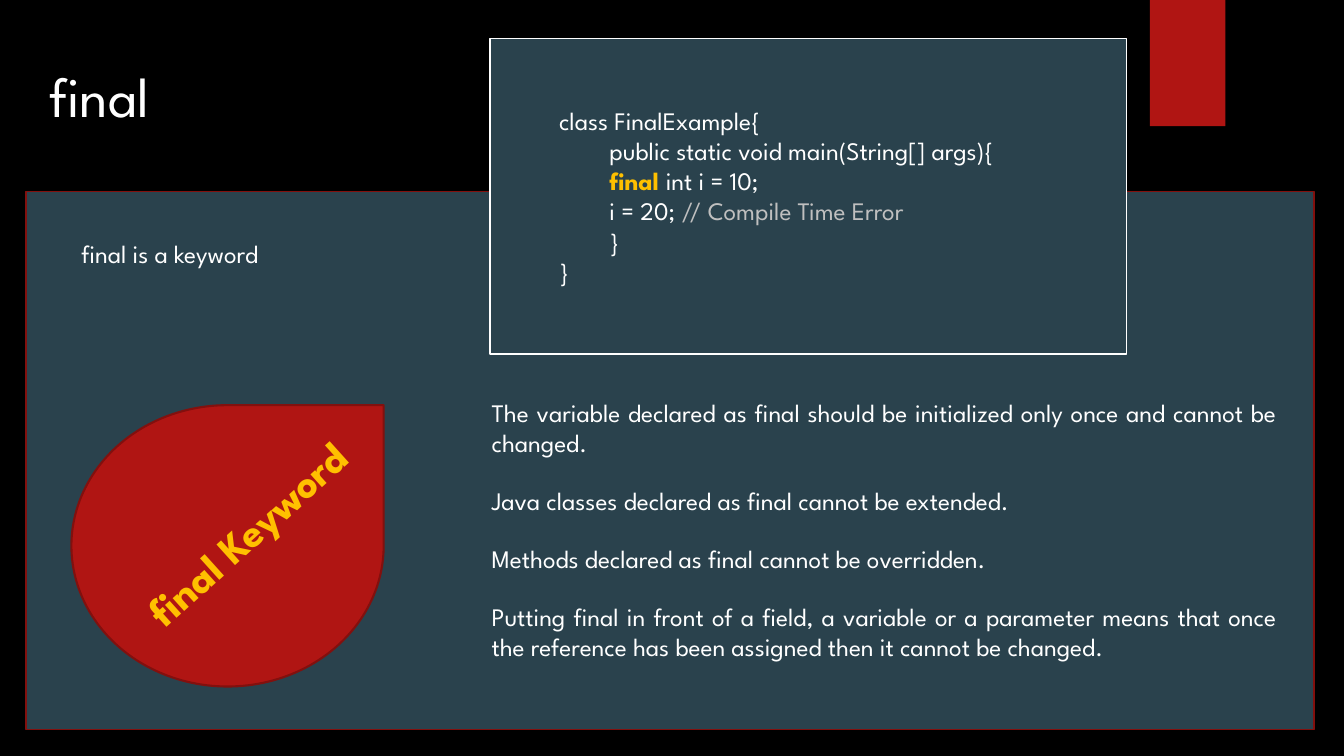
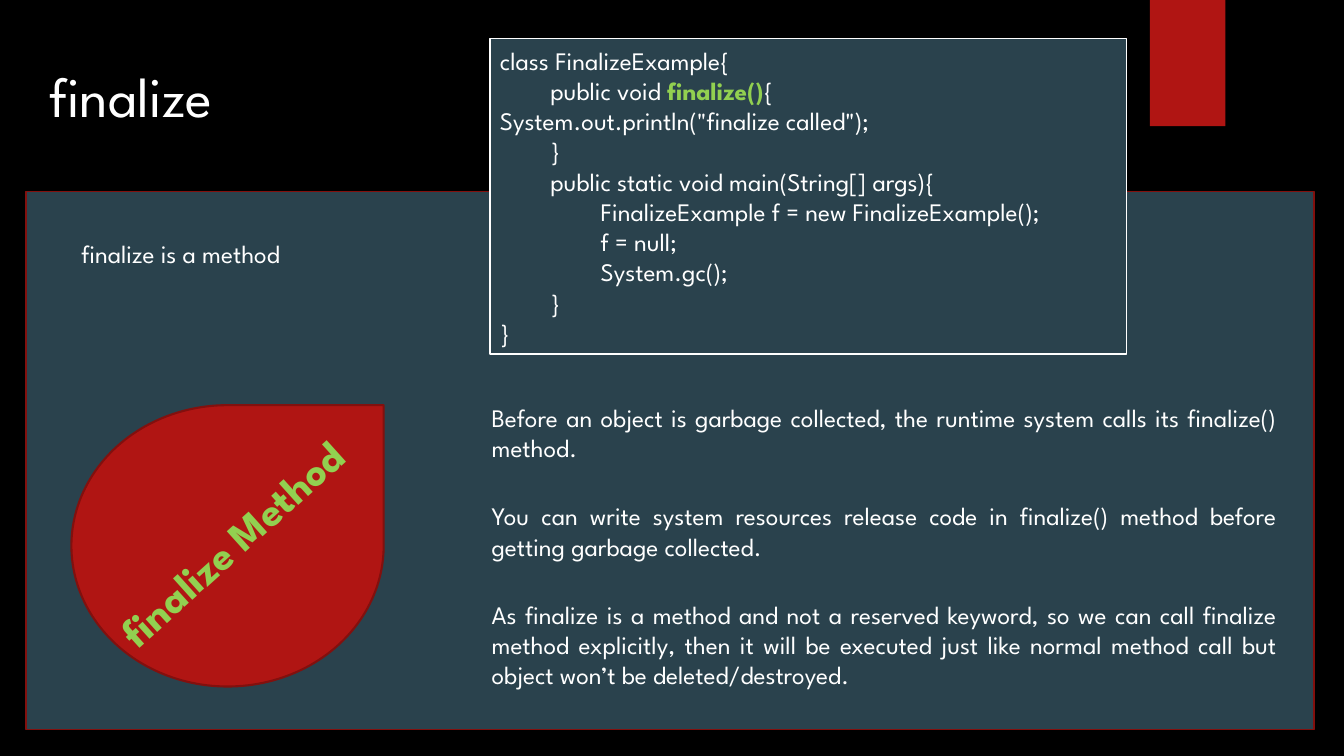
from pptx import Presentation
from pptx.dml import color
from pptx.enum import shapes, text
from pptx.util import Cm, Pt

FONT = "League Spartan"
BLACK, WHITE, GREY = "000000", "FFFFFF", "BFBFBF"
SLATE, RED, DARK_RED = "2A424D", "B01513", "82100E"
AMBER, GREEN = "FFC000", "92D050"
LEFT, CENTER, JUSTIFY = text.PP_ALIGN.LEFT, text.PP_ALIGN.CENTER, text.PP_ALIGN.JUSTIFY
LINE_HEIGHT, BOX_PADDING, CODE_INDENT = 0.77, 0.25, 1.27

FINAL = {
    "title": "final",
    "lead": "final is a keyword",
    "badge": ("final Keyword", AMBER, CENTER, (2.24, 12.67, 7.98, 1.55)),
    "code_area": (13.84, 2.49, 13.08, 4.88),
    "code": [
        (0, [("class FinalExample{", WHITE)]),
        (1, [("public static void main(String[] args){", WHITE)]),
        (1, [("final ", AMBER), ("int i = 10;", WHITE)]),
        (1, [("i = 20; ", WHITE), ("// Compile Time Error", GREY)]),
        (1, [("}", WHITE)]),
        (0, [("}", WHITE)]),
    ],
    "notes_top": 9.88,
    "notes_gap": 0.44,
    "notes": [
        (2, "The variable declared as final should be initialized only once and cannot be changed."),
        (1, "Java classes declared as final cannot be extended."),
        (1, "Methods declared as final cannot be overridden."),
        (3, "Putting final in front of a field, a variable or a parameter means that once "
            "the reference has been assigned then it cannot be changed."),
    ],
}

FINALIZE = {
    "title": "finalize",
    "lead": "finalize is a method",
    "badge": ("finalize Method", GREEN, LEFT, (1.91, 12.62, 8.53, 1.55)),
    "code_area": None,
    "code": [
        (0, [("class FinalizeExample{", WHITE)]),
        (1, [("public void ", WHITE), ("finalize()", GREEN), ("{", WHITE)]),
        (0, [('System.out.println("finalize called");', WHITE)]),
        (1, [("}", WHITE)]),
        (1, [("public static void main(String[] args){", WHITE)]),
        (2, [("FinalizeExample f = new FinalizeExample();", WHITE)]),
        (2, [("f = null;", WHITE)]),
        (2, [("System.gc();", WHITE)]),
        (1, [("}", WHITE)]),
        (0, [("}", WHITE)]),
    ],
    "notes_top": 10.01,
    "notes_gap": 0.69,
    "notes": [
        (2, "Before an object is garbage collected, the runtime system calls its finalize() method."),
        (2, "You can write system resources release code in finalize() method before "
            "getting garbage collected."),
        (3, "As finalize is a method and not a reserved keyword, so we can call finalize "
            "method explicitly, then it will be executed just like normal method call but "
            "object won’t be deleted/destroyed."),
    ],
}


def rgb(value):
    """Turn a hex string into a colour."""
    return color.RGBColor.from_string(value)


def assign(target, values):
    """Set every named attribute of the target."""
    for name, value in values.items():
        setattr(target, name, value)


def cm(place):
    """Turn left, top, width and height in centimetres into lengths."""
    return [Cm(length) for length in place]


def add_panel(slide, preset, place, fill, outline=None, weight=1):
    """Add a filled preset shape with an optional outline."""
    panel = slide.shapes.add_shape(preset, *cm(place))
    panel.shadow.inherit = False
    panel.fill.solid()
    panel.fill.fore_color.rgb = rgb(fill)
    if outline:
        panel.line.color.rgb = rgb(outline)
        panel.line.width = Pt(weight)
    else:
        panel.line.fill.background()
    return panel


def write(paragraph, words, ink=WHITE, size=18, bold=False):
    """Append a formatted run to a paragraph."""
    run = paragraph.add_run()
    run.text = words
    assign(run.font, {"name": FONT, "size": Pt(size), "bold": bold})
    run.font.color.rgb = rgb(ink)


def add_text(slide, place, words, align=JUSTIFY, **look):
    """Add a wrapped text box with one paragraph."""
    box = slide.shapes.add_textbox(*cm(place))
    box.text_frame.word_wrap = True
    paragraph = box.text_frame.paragraphs[0]
    paragraph.alignment = align
    write(paragraph, words, **look)
    return box


def set_title(slide, words):
    """Place and format the title placeholder."""
    title = slide.shapes.title
    assign(title, dict(zip(("left", "top", "width", "height"), cm((0.99, 1.27, 28.07, 2.24)))))
    assign(title.text_frame, {"vertical_anchor": text.MSO_ANCHOR.MIDDLE,
                              "auto_size": text.MSO_AUTO_SIZE.NONE})
    paragraph = title.text_frame.paragraphs[0]
    paragraph.alignment = LEFT
    write(paragraph, words, size=40)


def add_code(slide, lines, area):
    """Add the framed listing, with its text in the frame or in an inner area."""
    holder = add_panel(slide, shapes.MSO_SHAPE.RECTANGLE, (12.35, 0.97, 16.04, 7.95), SLATE, WHITE)
    if area:
        holder = slide.shapes.add_textbox(*cm(area))
    frame = holder.text_frame
    assign(frame, {"word_wrap": True, "vertical_anchor": text.MSO_ANCHOR.MIDDLE})
    for number, (depth, pieces) in enumerate(lines):
        paragraph = frame.add_paragraph() if number else frame.paragraphs[0]
        paragraph.alignment = LEFT
        paragraph._p.get_or_add_pPr().set("marL", str(Cm(depth * CODE_INDENT)))
        for words, ink in pieces:
            write(paragraph, words, ink, bold=ink in (AMBER, GREEN))


def add_notes(slide, notes, top, gap):
    """Stack the explanations with equal gaps."""
    for line_count, words in notes:
        height = BOX_PADDING + line_count * LINE_HEIGHT
        add_text(slide, (12.14, top, 20.29, height), words)
        top += height + gap


def add_badge(slide, words, ink, align, place):
    """Add the teardrop with its slanted label."""
    add_panel(slide, shapes.MSO_SHAPE.TEAR, (1.8, 10.21, 7.87, 7.09), RED, DARK_RED, 1.5)
    add_text(slide, place, words, align, ink=ink, size=30, bold=True).rotation = 318


def add_topic(deck, topic):
    """Build one keyword slide."""
    slide = deck.slides.add_slide(deck.slide_layouts[5])
    add_panel(slide, shapes.MSO_SHAPE.RECTANGLE, (28.98, 0, 1.9, 3.18), RED)
    add_panel(slide, shapes.MSO_SHAPE.RECTANGLE, (0.66, 4.83, 32.46, 13.56), SLATE, DARK_RED)
    set_title(slide, topic["title"])
    add_text(slide, (1.8, 5.89, 9.58, 1.02), topic["lead"])
    add_badge(slide, *topic["badge"])
    add_code(slide, topic["code"], topic["code_area"])
    add_notes(slide, topic["notes"], topic["notes_top"], topic["notes_gap"])


def main():
    """Build and save the presentation."""
    deck = Presentation()
    assign(deck, {"slide_width": Cm(33.87), "slide_height": Cm(19.05)})
    backdrop = deck.slide_master.background.fill
    backdrop.solid()
    backdrop.fore_color.rgb = rgb(BLACK)
    for topic in (FINAL, FINALIZE):
        add_topic(deck, topic)
    deck.save("out.pptx")


if __name__ == "__main__":
    main()
